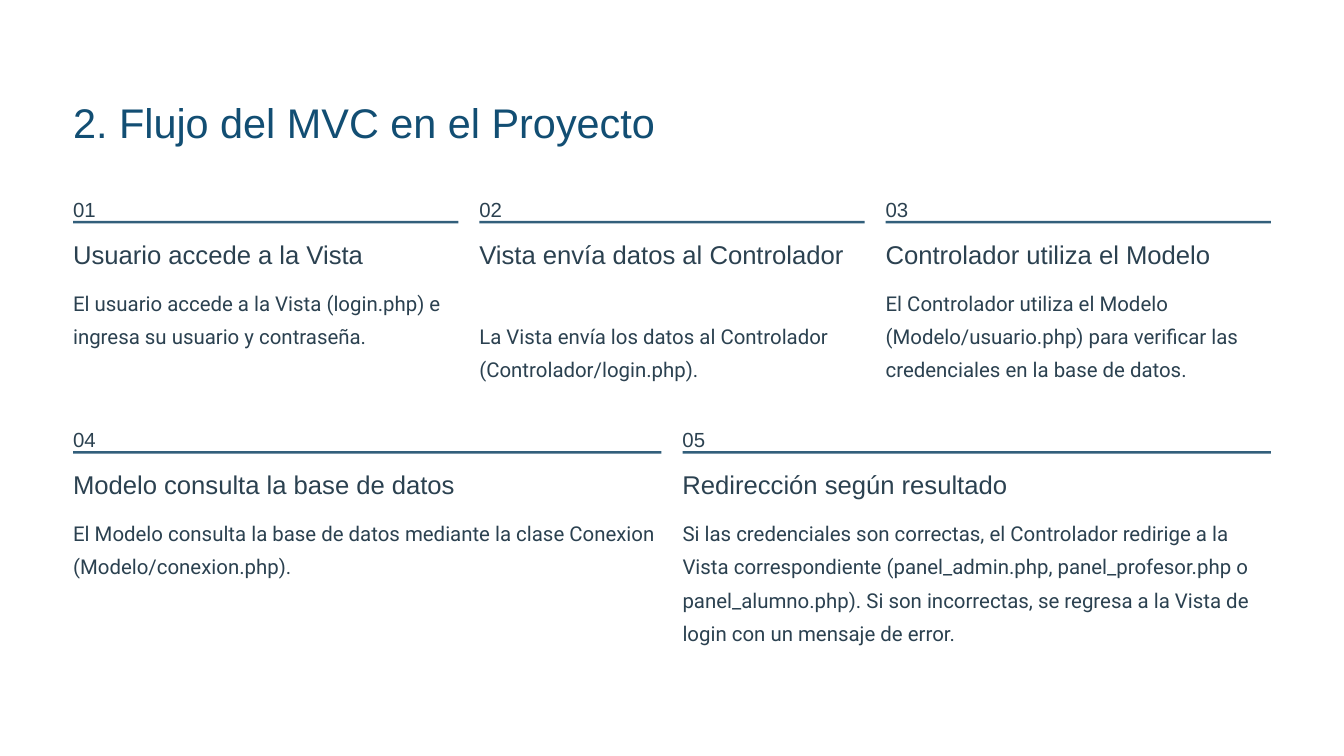
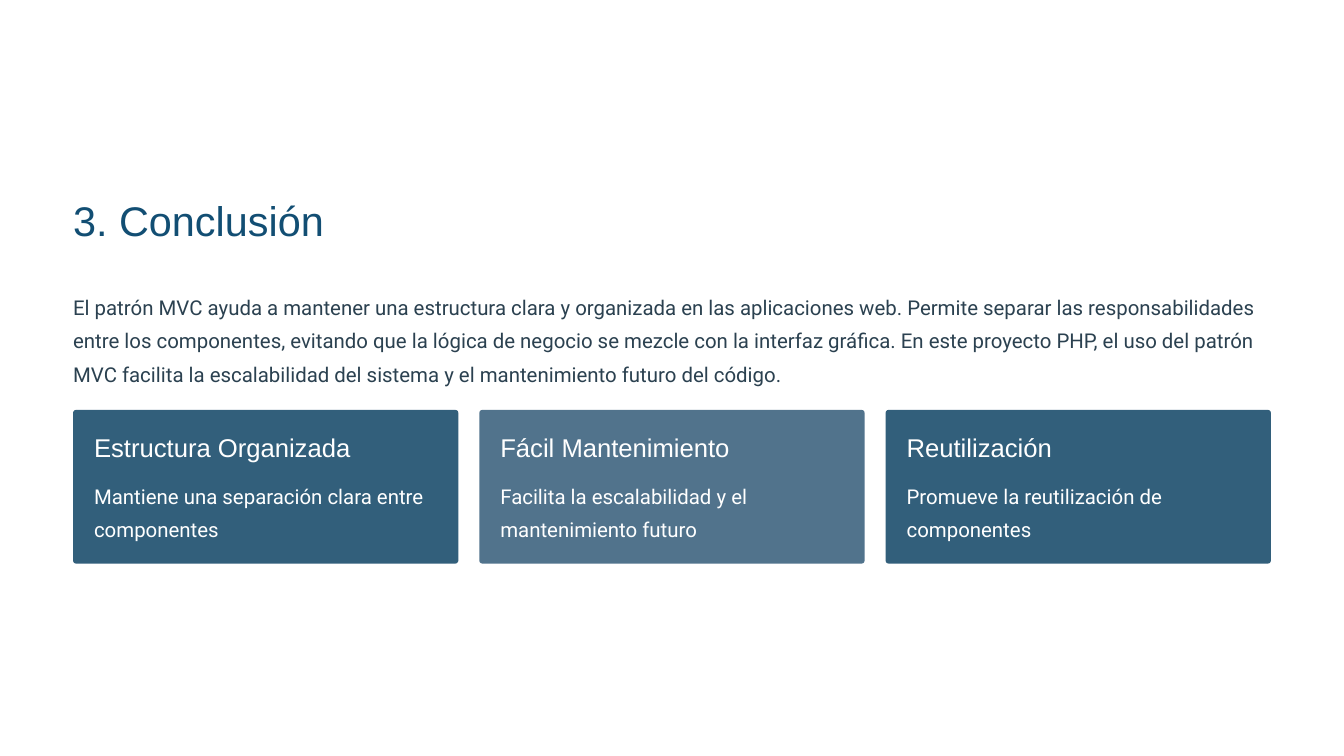
from dataclasses import dataclass

from pptx import Presentation
from pptx.dml.color import RGBColor
from pptx.enum.shapes import MSO_SHAPE as Shape
from pptx.util import Inches, Pt


@dataclass(frozen=True)
class TextStyle:
    font: str
    size: float
    spacing: float
    color: str


class Theme:
    ink, white = "2B4150", "FFFFFF"
    blue, slate = "325F7B", "51738C"
    title = TextStyle("Arial", 35.5, 44.5, "124E73")
    number = TextStyle("Arial", 17.5, 28.5, ink)
    heading = TextStyle("Arial", 22, 27.5, ink)
    body = TextStyle("Roboto", 17.5, 28.5, ink)
    card_heading = TextStyle("Arial", 22, 27.5, white)
    card_body = TextStyle("Roboto", 17.5, 28.5, white)


MARGIN, CONTENT_WIDTH, GAP = 0.87, 14.26, 0.25
LINE = 0.4  # height of one line of body text
HEADING_HEIGHT = 0.39


def add_text(page, text, style, left, top, width, height):
    box = page.shapes.add_textbox(Inches(left), Inches(top), Inches(width), Inches(height))
    frame = box.text_frame
    frame.margin_left = frame.margin_top = frame.margin_right = frame.margin_bottom = 0
    frame.word_wrap = True
    para = frame.paragraphs[0]
    para.text = text
    para.line_spacing = Pt(style.spacing)
    para.font.name = style.font
    para.font.size = Pt(style.size)
    para.font.color.rgb = RGBColor.from_string(style.color)


def add_block(page, kind, color, left, top, width, height):
    block = page.shapes.add_shape(kind, Inches(left), Inches(top), Inches(width), Inches(height))
    block.shadow.inherit = False
    block.fill.solid()
    block.fill.fore_color.rgb = RGBColor.from_string(color)
    block.line.fill.background()
    return block


deck = Presentation()
deck.slide_width, deck.slide_height = Inches(16), Inches(9)
blank = deck.slide_layouts[6]

# Slide 1: numbered steps; each has a heading, its width and line count, a body and its line count
page = deck.slides.add_slide(blank)
add_text(page, "2. Flujo del MVC en el Proyecto", Theme.title, MARGIN, 1.13, 7.27, 0.62)

step_rows = [
    (2.24, [
        ("Usuario accede a la Vista", 3.72, 1,
         "El usuario accede a la Vista (login.php) e ingresa su usuario y contraseña.", 2),
        ("Vista envía datos al Controlador", 4.59, 2,
         "La Vista envía los datos al Controlador (Controlador/login.php).", 2),
        ("Controlador utiliza el Modelo", 4.34, 1,
         "El Controlador utiliza el Modelo (Modelo/usuario.php) para verificar las "
         "credenciales en la base de datos.", 3),
    ]),
    (4.98, [
        ("Modelo consulta la base de datos", 5.12, 1,
         "El Modelo consulta la base de datos mediante la clase Conexion "
         "(Modelo/conexion.php).", 2),
        ("Redirección según resultado", 4.17, 1,
         "Si las credenciales son correctas, el Controlador redirige a la Vista "
         "correspondiente (panel_admin.php, panel_profesor.php o panel_alumno.php). "
         "Si son incorrectas, se regresa a la Vista de login con un mensaje de error.", 4),
    ]),
]
number = 0
for top, steps in step_rows:
    width = (CONTENT_WIDTH - GAP * (len(steps) - 1)) / len(steps)
    for column, (heading, heading_width, heading_lines, body, body_lines) in enumerate(steps):
        number += 1
        left = MARGIN + column * (width + GAP)
        heading_height = heading_lines * HEADING_HEIGHT
        add_text(page, f"{number:02}", Theme.number, left, top, 0.3, 0.31)
        add_block(page, Shape.RECTANGLE, Theme.blue, left, top + 0.39, width, 0.03)
        add_text(page, heading, Theme.heading, left, top + 0.59, heading_width, heading_height)
        add_text(page, body, Theme.body, left, top + 0.73 + heading_height, width, body_lines * LINE)

# Slide 2: conclusion with three cards
page = deck.slides.add_slide(blank)
add_text(page, "3. Conclusión", Theme.title, MARGIN, 2.29, 4.96, 0.62)
add_text(page,
         "El patrón MVC ayuda a mantener una estructura clara y organizada en las "
         "aplicaciones web. Permite separar las responsabilidades entre los componentes, "
         "evitando que la lógica de negocio se mezcle con la interfaz gráfica. En este "
         "proyecto PHP, el uso del patrón MVC facilita la escalabilidad del sistema y el "
         "mantenimiento futuro del código.",
         Theme.body, MARGIN, 3.41, CONTENT_WIDTH, 3 * LINE)

cards = [
    ("Estructura Organizada", 3.38, "Mantiene una separación clara entre componentes", Theme.blue),
    ("Fácil Mantenimiento", 3.1, "Facilita la escalabilidad y el mantenimiento futuro", Theme.slate),
    ("Reutilización", 3.1, "Promueve la reutilización de componentes", Theme.blue),
]
card_top, padding = 4.88, 0.25
card_width = (CONTENT_WIDTH - GAP * (len(cards) - 1)) / len(cards)
for column, (heading, heading_width, body, color) in enumerate(cards):
    left = MARGIN + column * (card_width + GAP)
    card = add_block(page, Shape.ROUNDED_RECTANGLE, color, left, card_top, card_width, 1.83)
    card.adjustments[0] = 0.02
    add_text(page, heading, Theme.card_heading, left + padding, card_top + padding,
             heading_width, HEADING_HEIGHT)
    add_text(page, body, Theme.card_body, left + padding, card_top + 0.78,
             card_width - 2 * padding, 2 * LINE)

deck.save("out.pptx")
